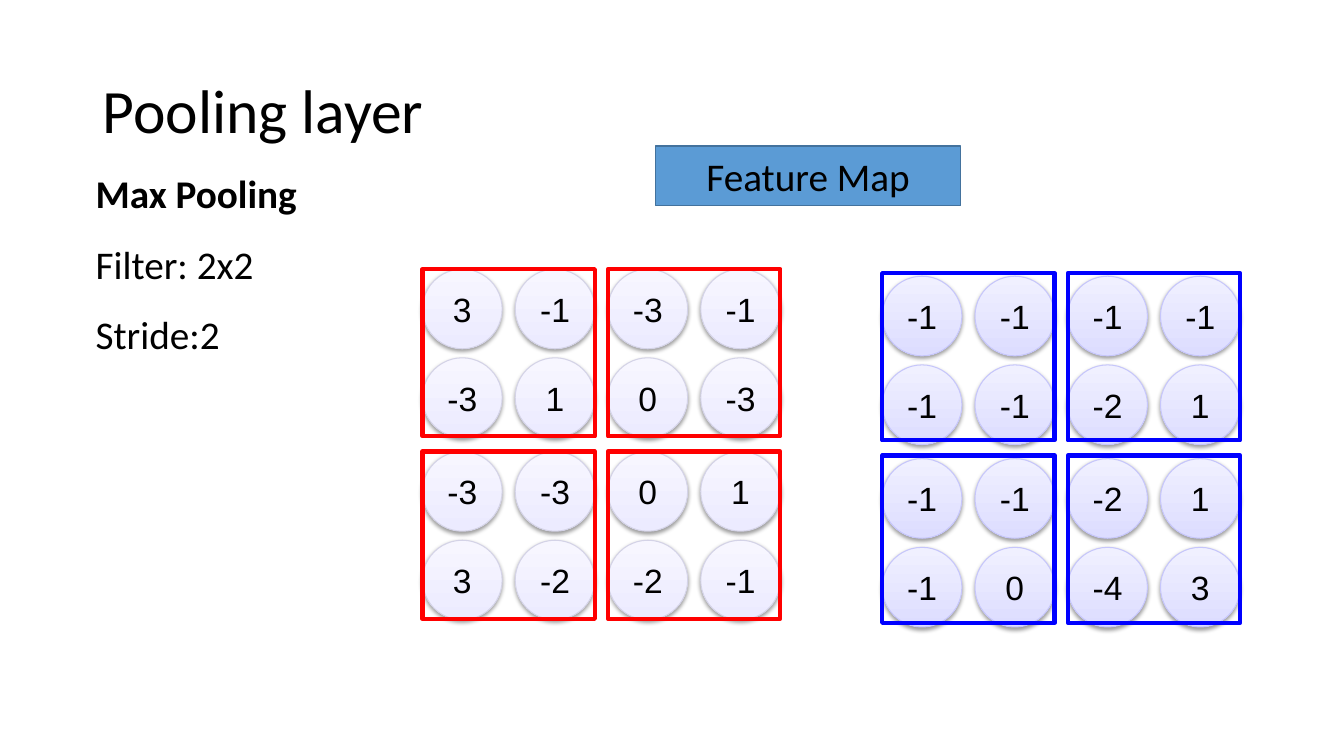
from lxml import etree
from pptx import Presentation
from pptx.dml.color import RGBColor
from pptx.enum.shapes import MSO_SHAPE
from pptx.enum.text import MSO_ANCHOR, PP_ALIGN
from pptx.oxml.ns import qn
from pptx.util import Inches, Pt

OVAL, RECTANGLE = MSO_SHAPE.OVAL, MSO_SHAPE.RECTANGLE
TOP, MIDDLE = MSO_ANCHOR.TOP, MSO_ANCHOR.MIDDLE
LEFT, CENTER = PP_ALIGN.LEFT, PP_ALIGN.CENTER

TITLE = ["Pooling layer"]
NOTES = ["Max Pooling", "Filter: 2x2", "Stride:2"]
LABEL = ["Feature Map"]
MAPS = [
    {
        "values": [[3, -1, -3, -1], [-3, 1, 0, -3], [-3, -3, 0, 1], [3, -2, -2, -1]],
        "left": 4.19, "top": 2.67, "frame_top": 2.67,
        "gradient": ("F7F6FF", "ECEBFF"), "edge": "D4D3E7", "frame": "FF0000",
    },
    {
        "values": [[-1, -1, -1, -1], [-1, -1, -2, 1], [-1, -1, -2, 1], [-1, 0, -4, 3]],
        "left": 8.75, "top": 2.74, "frame_top": 2.71,
        "gradient": ("F0F0FF", "DDDDFF"), "edge": "C6C6FB", "frame": "0000FF",
    },
]
DIAMETER, COLUMN_STEP, ROW_STEP = 0.79, 0.92, 0.88
WINDOW_STEP = 1.81
FRAME_WIDTH, FRAME_HEIGHT = 1.71, 1.66

TITLE_FONT = {"name": "Calibri", "size": Pt(44), "bold": False}
BODY_FONT = {"name": "Calibri", "size": Pt(28), "bold": False}
VALUE_FONT = {"name": "Arial", "size": Pt(24), "bold": False}


def color(value):
    return RGBColor.from_string(value)


def write(shape, lines, font, align=LEFT, anchor=TOP, spacing=1.0):
    frame = shape.text_frame
    frame.word_wrap = True
    frame.vertical_anchor = anchor
    for index, line in enumerate(lines):
        para = frame.paragraphs[0] if index == 0 else frame.add_paragraph()
        para.alignment = align
        para.line_spacing = spacing
        span = para.add_run()
        span.text = line
        for name, value in font.items():
            setattr(span.font, name, value)
        span.font.color.rgb = color("000000")


def add_text(slide, place, lines, font, **layout):
    box = slide.shapes.add_textbox(*map(Inches, place))
    write(box, lines, font, **layout)
    return box


def add_shape(slide, kind, place, edge, width):
    shape = slide.shapes.add_shape(kind, *map(Inches, place))
    shape.shadow.inherit = False
    shape.fill.background()
    shape.line.color.rgb = color(edge)
    shape.line.width = Pt(width)
    return shape


def add_shadow(shape):
    effects = shape._element.spPr.find(qn("a:effectLst"))
    shadow = etree.SubElement(effects, qn("a:outerShdw"), {
        "blurRad": str(Pt(3.1)), "dist": str(Pt(1.6)),
        "dir": "5400000", "rotWithShape": "0",
    })
    black = etree.SubElement(shadow, qn("a:srgbClr"), val="000000")
    etree.SubElement(black, qn("a:alpha"), val="38000")


def add_values(slide, feature_map):
    for row, values in enumerate(feature_map["values"]):
        window, inner = divmod(row, 2)
        top = feature_map["top"] + window * WINDOW_STEP + inner * ROW_STEP
        for column, value in enumerate(values):
            left = feature_map["left"] + column * COLUMN_STEP
            circle = add_shape(slide, OVAL, (left, top, DIAMETER, DIAMETER),
                               feature_map["edge"], 0.75)
            circle.fill.gradient()
            circle.fill.gradient_angle = 270
            for position, shade in enumerate(feature_map["gradient"]):
                stop = circle.fill.gradient_stops[position]
                stop.color.rgb = color(shade)
                stop.position = position
            add_shadow(circle)
            write(circle, [str(value)], VALUE_FONT, align=CENTER, anchor=MIDDLE)


def add_frames(slide, feature_map):
    for row in range(2):
        for column in range(2):
            left = feature_map["left"] + column * 2 * COLUMN_STEP
            top = feature_map["frame_top"] + row * WINDOW_STEP
            add_shape(slide, RECTANGLE, (left, top, FRAME_WIDTH, FRAME_HEIGHT),
                      feature_map["frame"], 3)


def main():
    deck = Presentation()
    deck.slide_width, deck.slide_height = Inches(13.33), Inches(7.5)
    slide = deck.slides.add_slide(deck.slide_layouts[6])

    add_text(slide, (0.92, 0.4, 11.5, 1.45), TITLE, TITLE_FONT, anchor=MIDDLE, spacing=0.9)
    for feature_map in MAPS:
        add_values(slide, feature_map)
    for feature_map in MAPS:
        add_frames(slide, feature_map)

    label = add_shape(slide, RECTANGLE, (6.5, 1.45, 3.03, 0.59), "43729D", 1)
    label.fill.solid()
    label.fill.fore_color.rgb = color("5B9BD5")
    write(label, LABEL, BODY_FONT, align=CENTER, anchor=MIDDLE)

    notes = add_text(slide, (0.85, 1.4, 6.68, 2.14), NOTES, BODY_FONT, spacing=1.5)
    notes.text_frame.paragraphs[0].runs[0].font.bold = True

    deck.save("out.pptx")


if __name__ == "__main__":
    main()
